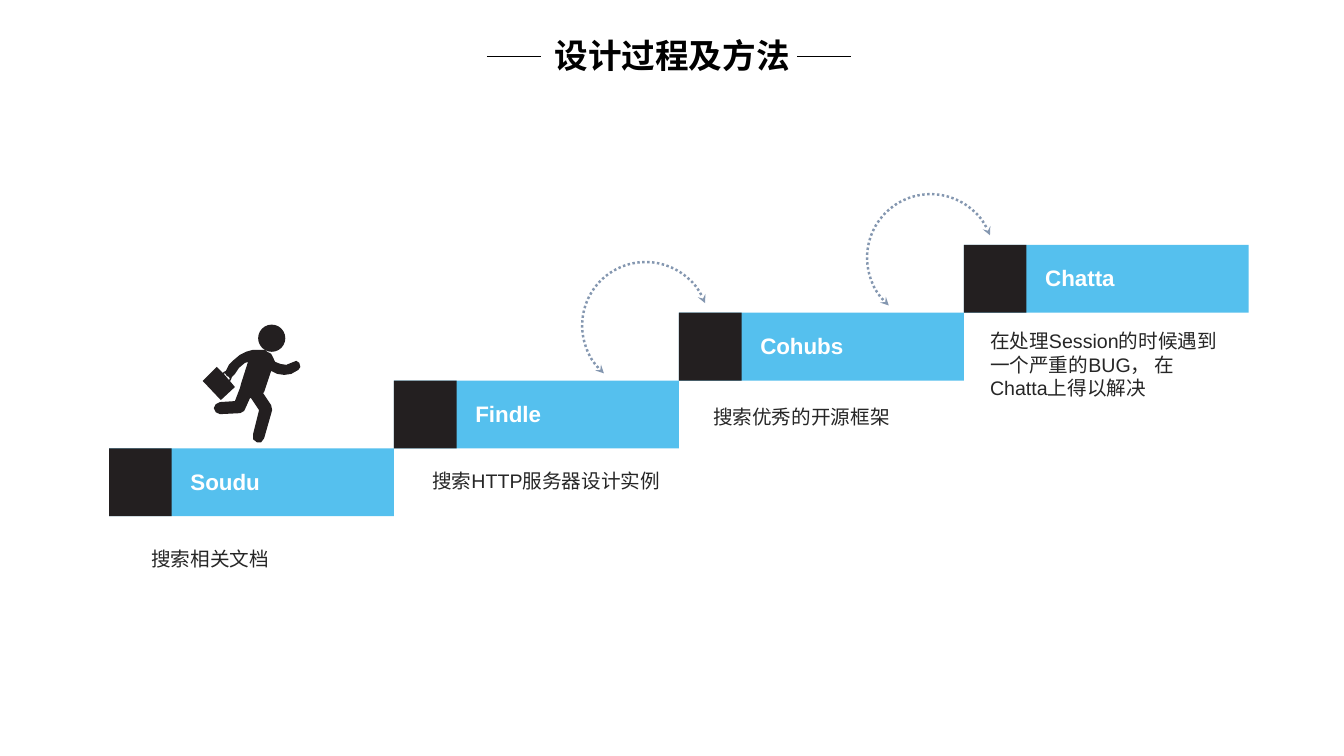
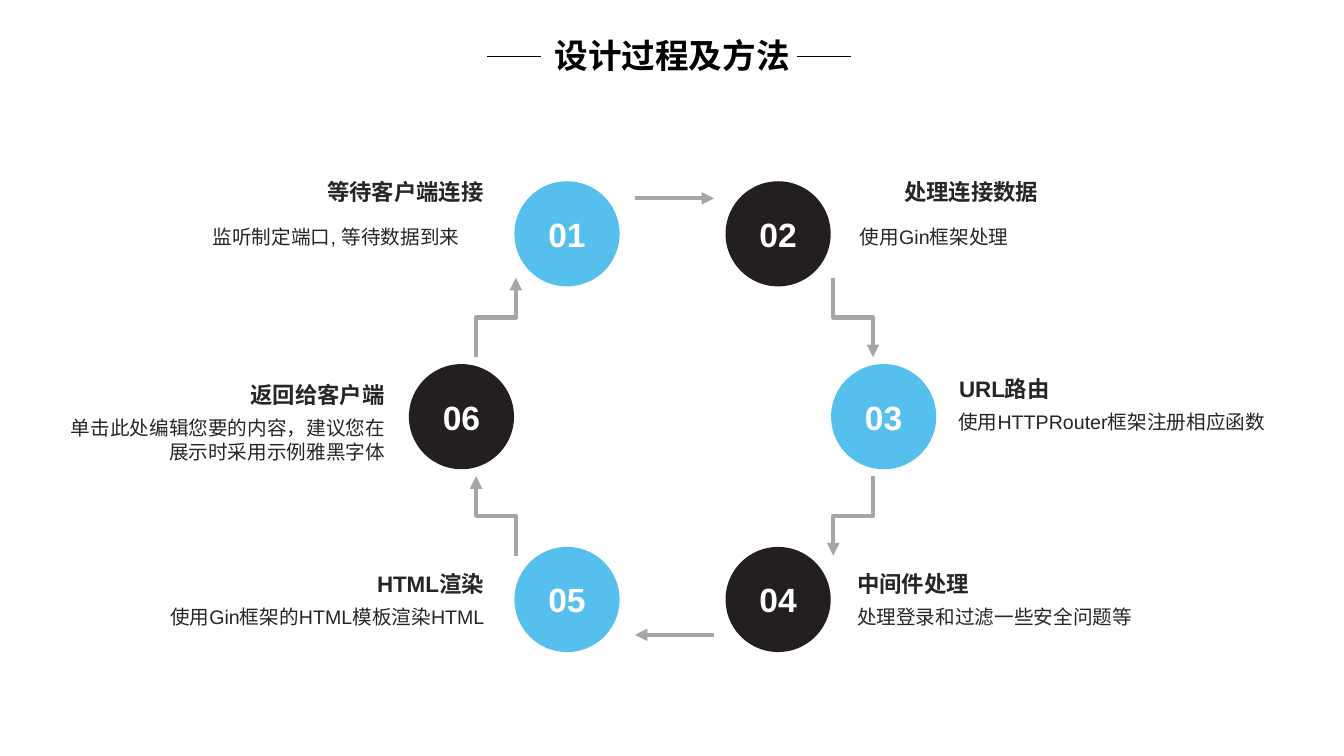
from dataclasses import dataclass
from math import cos, radians, sin

from lxml import etree
from pptx import Presentation
from pptx.dml.color import RGBColor
from pptx.enum.dml import MSO_LINE
from pptx.enum.shapes import MSO_CONNECTOR, MSO_SHAPE
from pptx.enum.text import MSO_ANCHOR, PP_ALIGN
from pptx.oxml.ns import qn
from pptx.util import Cm, Pt

RECT, OVAL, ARC = MSO_SHAPE.RECTANGLE, MSO_SHAPE.OVAL, MSO_SHAPE.ARC
STRAIGHT = MSO_CONNECTOR.STRAIGHT
LEFT, CENTER, RIGHT = PP_ALIGN.LEFT, PP_ALIGN.CENTER, PP_ALIGN.RIGHT
MIDDLE = MSO_ANCHOR.MIDDLE
DOTTED = MSO_LINE.ROUND_DOT


@dataclass(frozen=True)
class Theme:
    blue: str = "55C0EE"
    dark: str = "231F20"
    text: str = "262626"
    white: str = "FFFFFF"
    black: str = "000000"
    arrow: str = "A6A6A6"
    jump: str = "8497B0"
    latin: str = "Arial"
    cjk: str = "Noto Sans CJK SC"
    title_size: int = 24
    head_size: int = 16
    body_size: int = 14


T = Theme()

# Name, caption, caption offset from the step's corner (cm)
STEPS = [
    ("Soudu", "搜索相关文档", 0.81, 2.36),
    ("Findle", "搜索HTTP服务器设计实例", 0.71, 2.11),
    ("Cohubs", "搜索优秀的开源框架", 0.61, 2.2),
    ("Chatta", "在处理Session的时候遇到一个严重的BUG， 在Chatta上得以解决", 0.41, 2),
]

# Heading, body, then the offset of each from the node's centre (cm)
STAGES = [
    ("等待客户端连接", "监听制定端口, 等待数据到来", (-1.85, -1.59), (-2.46, -0.35)),
    ("处理连接数据", "使用Gin框架处理", (2.93, -1.59), (1.81, -0.35)),
    ("URL路由", "使用HTTPRouter框架注册相应函数", (1.65, -1.23), (1.63, -0.29)),
    ("中间件处理", "处理登录和过滤一些安全问题等", (1.74, -0.94), (1.74, 0)),
    ("HTML渲染", "使用Gin框架的HTML模板渲染HTML", (-1.85, -0.94), (-1.83, 0)),
    ("返回给客户端", "单击此处编辑您要的内容，建议您在展示时采用示例雅黑字体",
     (-1.69, -1.08), (-1.67, -0.14)),
]

# Runner outline on a grid 97 units wide
RUNNER_BODY = [
    (96, 38), (93, 36), (88, 38), (83, 40), (77, 39), (72, 37), (70, 33),
    (68, 29), (64, 27), (62, 25), (58, 25), (50, 25), (43, 27), (37, 30),
    (31, 35), (26, 40), (23, 46), (21, 47), (20, 48), (14, 42), (0, 56),
    (18, 75), (32, 62), (27, 56), (28, 55), (29, 52), (32, 49), (36, 43),
    (42, 38), (45, 37), (38, 59), (37, 63), (32, 76), (17, 77), (13, 79),
    (11, 83), (13, 87), (17, 89), (37, 88), (41, 86), (42, 84), (47, 73),
    (48, 73), (56, 85), (50, 109), (50, 114), (54, 117), (58, 117),
    (61, 113), (69, 85), (68, 80), (60, 68), (61, 67), (68, 46), (74, 49),
    (81, 50), (88, 49), (95, 45), (97, 42),
]
RUNNER_HANDLE = [(27, 54), (26, 55), (21, 49), (22, 48), (24, 51), (26, 52)]


def rgb(color):
    return RGBColor.from_string(color)


def paint(sp, color):
    sp.shadow.inherit = False
    sp.fill.solid()
    sp.fill.fore_color.rgb = rgb(color)
    sp.line.fill.background()


def outline(sp, color, width, head=None, tail=None):
    """Style an open curve with optional arrowheads."""
    sp.shadow.inherit = False
    sp.fill.background()
    sp.line.color.rgb = rgb(color)
    sp.line.width = Pt(width)
    ln = sp.line._get_or_add_ln()
    for tag, kind in (("a:headEnd", head), ("a:tailEnd", tail)):
        if kind:
            etree.SubElement(ln, qn(tag), type=kind)


def add_shape(s, kind, x, y, w, h, color):
    sp = s.shapes.add_shape(kind, Cm(x), Cm(y), Cm(w), Cm(h))
    paint(sp, color)
    return sp


def write(tf, text, size, color, bold=False, align=LEFT, spacing=None, font=T.latin):
    tf.word_wrap = True
    p = tf.paragraphs[0]
    p.alignment = align
    if spacing:
        p.line_spacing = spacing
    r = p.add_run()
    r.text = text
    r.font.size = Pt(size)
    r.font.bold = bold
    r.font.name = font
    r.font.color.rgb = rgb(color)
    etree.SubElement(r.font._element, qn("a:ea"), typeface=T.cjk)


def add_text(s, x, y, w, h, *args, **style):
    box = s.shapes.add_textbox(Cm(x), Cm(y), Cm(w), Cm(h))
    write(box.text_frame, *args, **style)


def add_title(s, text):
    """Centred title between two short rules."""
    add_text(s, 11.58, 0.76, 10.72, 1.27, text, T.title_size, T.black,
             bold=True, align=CENTER, font=T.cjk)
    for x in (12.27, 20.09):
        rule = s.shapes.add_connector(STRAIGHT, Cm(x), Cm(1.42), Cm(x + 1.36), Cm(1.42))
        rule.line.color.rgb = rgb(T.black)
        rule.line.width = Pt(1)
        etree.SubElement(rule._element.spPr, qn("a:effectLst"))


def add_runner(s, x, y, w):
    unit = w / 97
    add_shape(s, OVAL, x + 55 * unit, y, 27 * unit, 27 * unit, T.dark)
    fb = s.shapes.build_freeform(*RUNNER_BODY[0], scale=Cm(unit))
    fb.add_line_segments(RUNNER_BODY[1:])
    fb.move_to(*RUNNER_HANDLE[0])
    fb.add_line_segments(RUNNER_HANDLE[1:])
    paint(fb.convert_to_shape(Cm(x), Cm(y)), T.dark)


def add_jump(s, x, y, size):
    """Dotted arc with an arrowhead at both ends."""
    sp = s.shapes.add_shape(ARC, Cm(x), Cm(y), Cm(size), Cm(size))
    sp.adjustments[0], sp.adjustments[1] = 162, 70.97
    sp.rotation = 221.1
    sp.line.dash_style = DOTTED
    outline(sp, T.jump, 1.75, head="stealth", tail="stealth")


def add_staircase(s, x, y, w, h):
    """Rising steps; (x, y) is the corner of the lowest one."""
    for i, (name, caption, dx, dy) in enumerate(STEPS):
        left, top = x + i * w, y - i * h
        add_shape(s, RECT, left, top, w, h, T.blue)
        add_shape(s, RECT, left, top, 1.58, h, T.dark)
        add_text(s, left + 1.8, top + 0.36, 5, 0.94, name, T.head_size, T.white, bold=True)
        add_text(s, left + dx, top + dy, 6.38, 0.86, caption, T.body_size, T.text)
        if i in (1, 2):
            add_jump(s, left + 4.74, top - 2.99, 3.2)


def add_arc_arrow(s, cx, cy, radius, middle):
    """Arrow along the ring, 10 degrees to each side of its middle."""
    angles = [radians(middle + d) for d in range(-10, 11, 2)]
    points = [(cx + radius * cos(a), cy + radius * sin(a)) for a in angles]
    fb = s.shapes.build_freeform(*points[0], scale=Cm(1))
    fb.add_line_segments(points[1:], close=False)
    outline(fb.convert_to_shape(), T.arrow, 3, tail="triangle")


def add_stage(s, number, x, y, size):
    """Numbered node centred on (x, y) with its heading and body."""
    node = add_shape(s, OVAL, x - size / 2, y - size / 2, size, size,
                     T.blue if number % 2 else T.dark)
    tf = node.text_frame
    tf.margin_left = tf.margin_right = tf.margin_top = tf.margin_bottom = 0
    tf.vertical_anchor = MIDDLE
    write(tf, f"{number:02d}", T.title_size, T.white, bold=True, align=CENTER)

    heading, body, head_at, body_at = STAGES[number - 1]
    parts = (
        (heading, head_at, 6.48, T.head_size, True, 1.1),
        (body, body_at, 8.69, T.body_size, False, Pt(17)),
    )
    for text, (dx, dy), w, size, bold, spacing in parts:
        on_left = dx < 0
        add_text(s, x + dx - (w if on_left else 0), y + dy, w, 1, text, size, T.text,
                 bold=bold, align=RIGHT if on_left else LEFT, spacing=spacing)


def add_cycle(s, cx, cy, radius):
    """Six stages clockwise from the upper left, joined by arrows."""
    for i in range(len(STAGES)):
        angle = 60 * i - 120
        add_arc_arrow(s, cx, cy, radius, angle + 30)
        add_stage(s, i + 1, cx + radius * cos(radians(angle)),
                  cy + radius * sin(radians(angle)), 2.65)


def add_slide(prs, title):
    s = prs.slides.add_slide(prs.slide_layouts[6])
    add_title(s, title)
    return s


def main():
    prs = Presentation()
    prs.slide_width, prs.slide_height = Cm(33.87), Cm(19.05)

    s = add_slide(prs, "设计过程及方法")
    add_staircase(s, 2.75, 11.3, 7.18, 1.71)
    add_runner(s, 5.11, 8.18, 2.46)

    s = add_slide(prs, "设计过程及方法")
    add_cycle(s, 16.95, 10.5, 5.32)

    prs.save("out.pptx")


if __name__ == "__main__":
    main()
